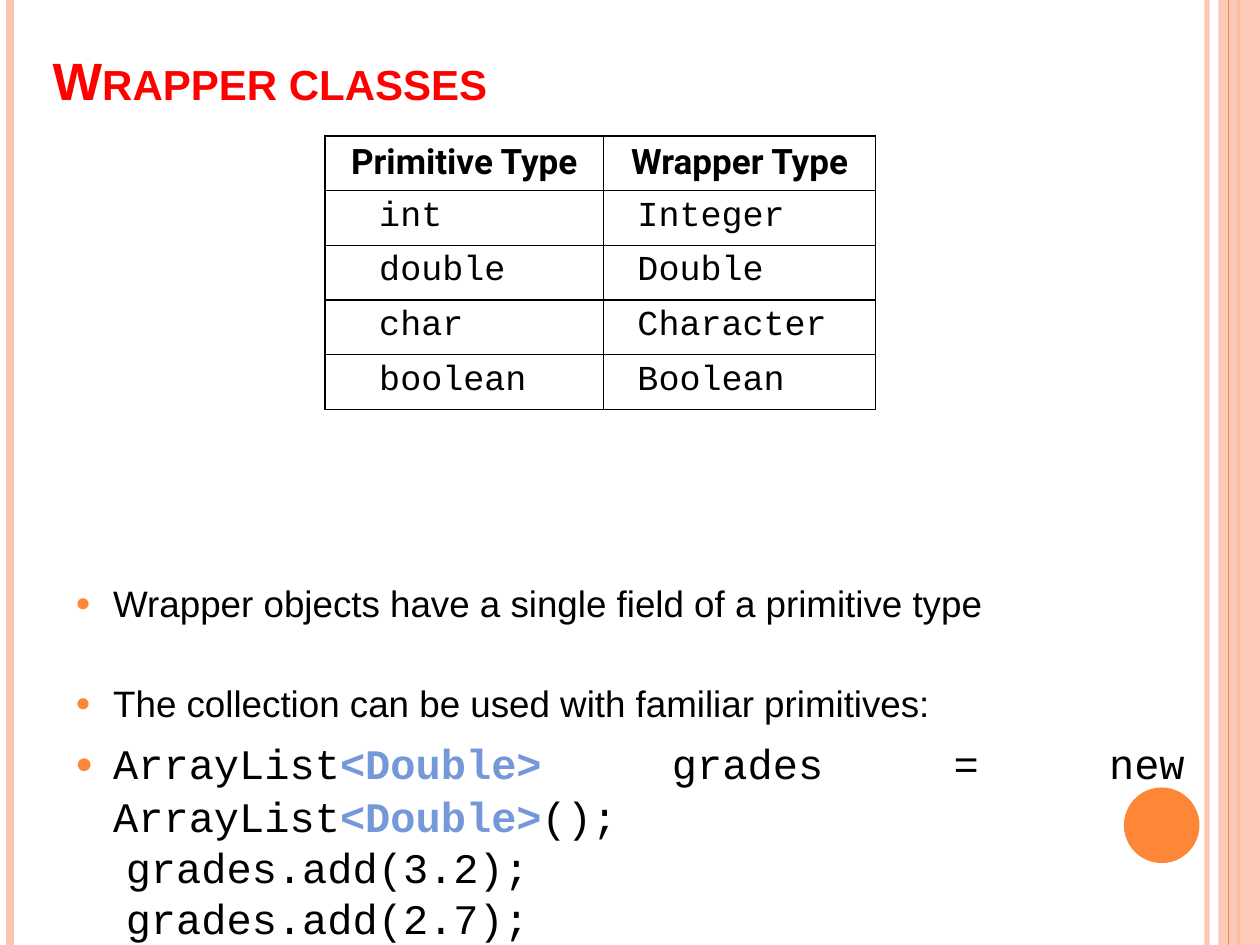
from lxml import etree
from pptx import Presentation
from pptx.dml.color import RGBColor
from pptx.enum.shapes import MSO_CONNECTOR as CONN, MSO_SHAPE as SHAPE
from pptx.enum.text import MSO_ANCHOR as ANCHOR, PP_ALIGN as ALIGN
from pptx.oxml.ns import qn
from pptx.util import Inches, Pt

COLORS = {"peach": "FEC3AE", "orange": "FE8637", "title": "FF0000",
          "text": "000000", "generic": "7598D9"}
SANS, MONO, HEAD = "Arial", "Courier New", "Roboto"
ROWS = [("Primitive Type", "Wrapper Type"), ("int", "Integer"),
        ("double", "Double"), ("char", "Character"), ("boolean", "Boolean")]


def rgb(name):
    return RGBColor.from_string(COLORS[name])


def sub(parent, tag, **attrs):
    return etree.SubElement(parent, qn(tag), attrs)


def set_font(font, name, size, color, bold=False):
    font.name, font.size, font.bold = name, Pt(size), bold
    font.color.rgb = rgb(color)


def set_alpha(element, percent):
    for clr in element.iter(qn("a:srgbClr")):
        sub(clr, "a:alpha", val=str(percent * 1000))


def add_rule(slide, x, height, color, width, alpha=100):
    line = slide.shapes.add_connector(CONN.STRAIGHT, Inches(x), 0, Inches(x), Inches(height))
    line.line.color.rgb, line.line.width = rgb(color), Pt(width)
    if alpha < 100:
        set_alpha(line._element.spPr, alpha)
    sub(line._element.spPr, "a:effectLst")


def add_solid(slide, kind, box, color):
    sp = slide.shapes.add_shape(kind, *map(Inches, box))
    sp.shadow.inherit = False
    sp.fill.solid()
    sp.fill.fore_color.rgb = rgb(color)
    sp.line.fill.background()
    return sp


def add_frame(slide, width, height):
    """Vertical stripes on both edges and the page disc."""
    add_rule(slide, 9.58, height, "peach", 3, 93)
    add_rule(slide, 0.08, height, "peach", 4.5)
    add_rule(slide, 9.83, height, "orange", 1.5)
    panel = add_solid(slide, SHAPE.RECTANGLE, (9.67, 0, width - 9.67, height), "peach")
    set_alpha(panel._element.spPr, 87)
    add_rule(slide, 9.75, height, "orange", 0.75)
    add_solid(slide, SHAPE.OVAL, (8.92, 6.25, 0.6, 0.6), "orange")


def add_text_frame(slide, box):
    tf = slide.shapes.add_textbox(*map(Inches, box)).text_frame
    tf.word_wrap = True
    return tf


def add_title(slide, box, text):
    tf = add_text_frame(slide, box)
    tf.vertical_anchor = ANCHOR.BOTTOM
    r = tf.paragraphs[0].add_run()
    r.text = text
    set_font(r.font, SANS, 30, "title", True)
    r.font._element.set("cap", "small")


def add_border(cell):
    tc_pr = cell._tc.get_or_add_tcPr()
    for i, side in enumerate(("a:lnL", "a:lnR", "a:lnT", "a:lnB")):
        ln = etree.Element(qn(side), w=str(Pt(1)))
        sub(sub(ln, "a:solidFill"), "a:srgbClr", val=COLORS["text"])
        tc_pr.insert(i, ln)


def add_type_table(slide, box, col_widths, indents):
    table = slide.shapes.add_table(len(ROWS), 2, *map(Inches, box)).table
    for col, width in zip(table.columns, col_widths):
        col.width = Inches(width)
    for i, row in enumerate(ROWS):
        table.rows[i].height = Inches(box[3] / len(ROWS))
        for j, text in enumerate(row):
            cell = table.cell(i, j)
            cell.fill.background()
            add_border(cell)
            cell.text = text
            p = cell.text_frame.paragraphs[0]
            if i == 0:
                p.alignment = ALIGN.CENTER
                set_font(p.font, HEAD, 20, "text", True)
            else:
                cell.margin_left = Inches(indents[j])
                set_font(p.font, MONO, 20, "text")


def add_body(slide, box):
    tf = add_text_frame(slide, box)

    def add_paragraph(runs, font, size, before, spacing=1.0, bullet=True):
        p = tf.paragraphs[0] if not tf.paragraphs[0].runs else tf.add_paragraph()
        p.alignment, p.space_before, p.line_spacing = ALIGN.JUSTIFY, Pt(before), spacing
        p_pr = p._p.get_or_add_pPr()
        p_pr.set("marL", str(Inches(0.3 if bullet else 0.7)))
        p_pr.set("indent", str(Inches(-0.3)))
        if bullet:
            sub(sub(p_pr, "a:buClr"), "a:srgbClr", val=COLORS["orange"])
            sub(p_pr, "a:buSzPct", val="70000")
            sub(p_pr, "a:buFont", typeface=SANS)
            sub(p_pr, "a:buChar", char="●")
        for text in runs:
            r = p.add_run()
            r.text = text
            generic = text == "<Double>"
            set_font(r.font, font, size, "generic" if generic else "text", generic)

    add_paragraph(["Wrapper objects have a single field of a primitive type"], SANS, 21, 0)
    add_paragraph(["The collection can be used with familiar primitives:"], SANS, 21, 32)
    # Code sample
    add_paragraph(["ArrayList", "<Double>", " grades = new ArrayList", "<Double>", "();"],
                  MONO, 24, 6, 1.05)
    for call in ("grades.add(3.2);", "grades.add(2.7);"):
        add_paragraph([call], MONO, 24, 6, 0.8, bullet=False)


def main():
    prs = Presentation()
    prs.slide_width, prs.slide_height = Inches(10), Inches(7.5)
    slide = prs.slides.add_slide(prs.slide_layouts[6])
    add_frame(slide, 10, 7.5)
    add_title(slide, (0.32, 0.1, 9.17, 0.83), "Wrapper classes")
    add_body(slide, (0.5, 4.56, 9, 2.9))
    add_type_table(slide, (2.58, 1.08, 4.37, 2.1), (2.21, 2.16), (0.43, 0.27))
    prs.save("out.pptx")


if __name__ == "__main__":
    main()
